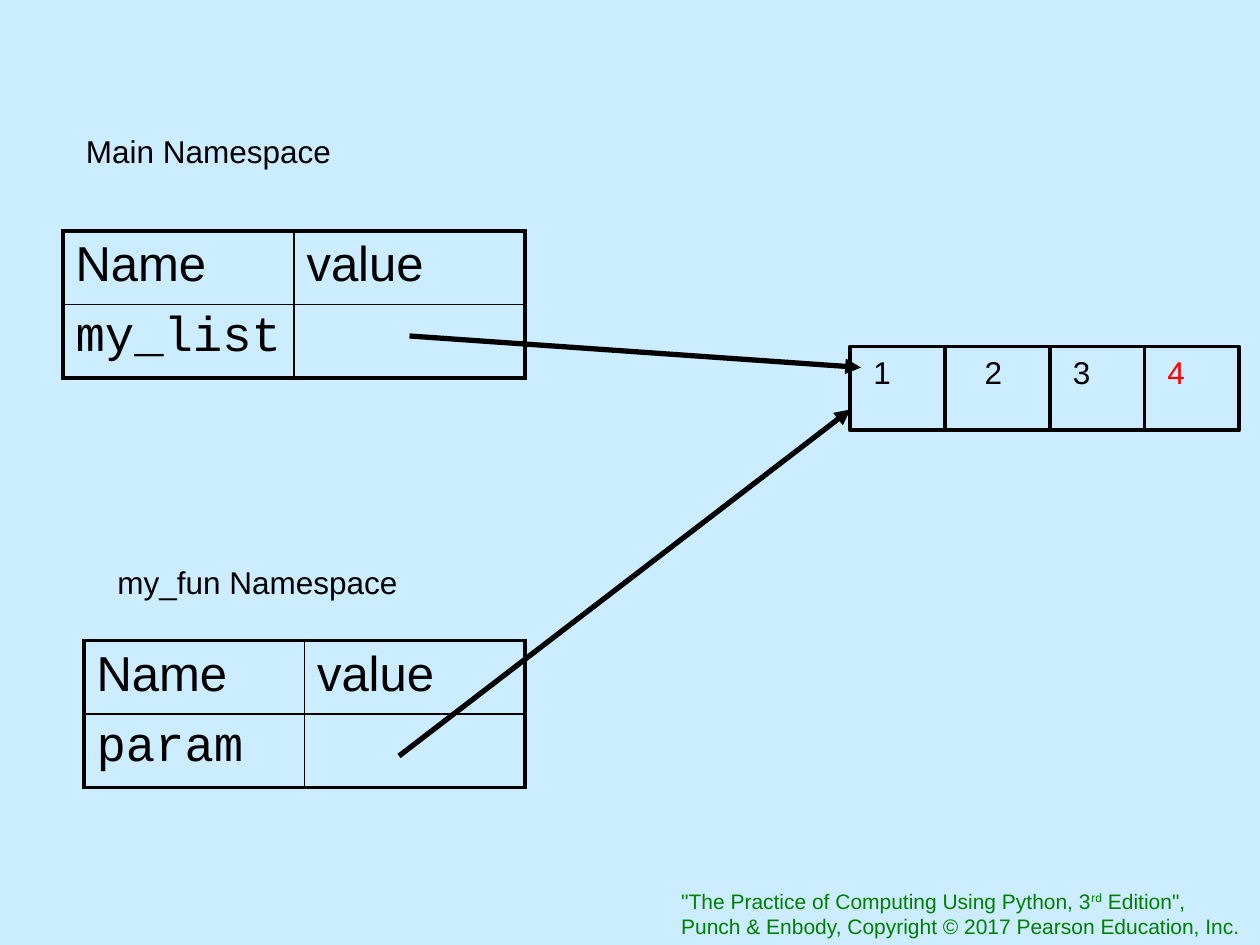
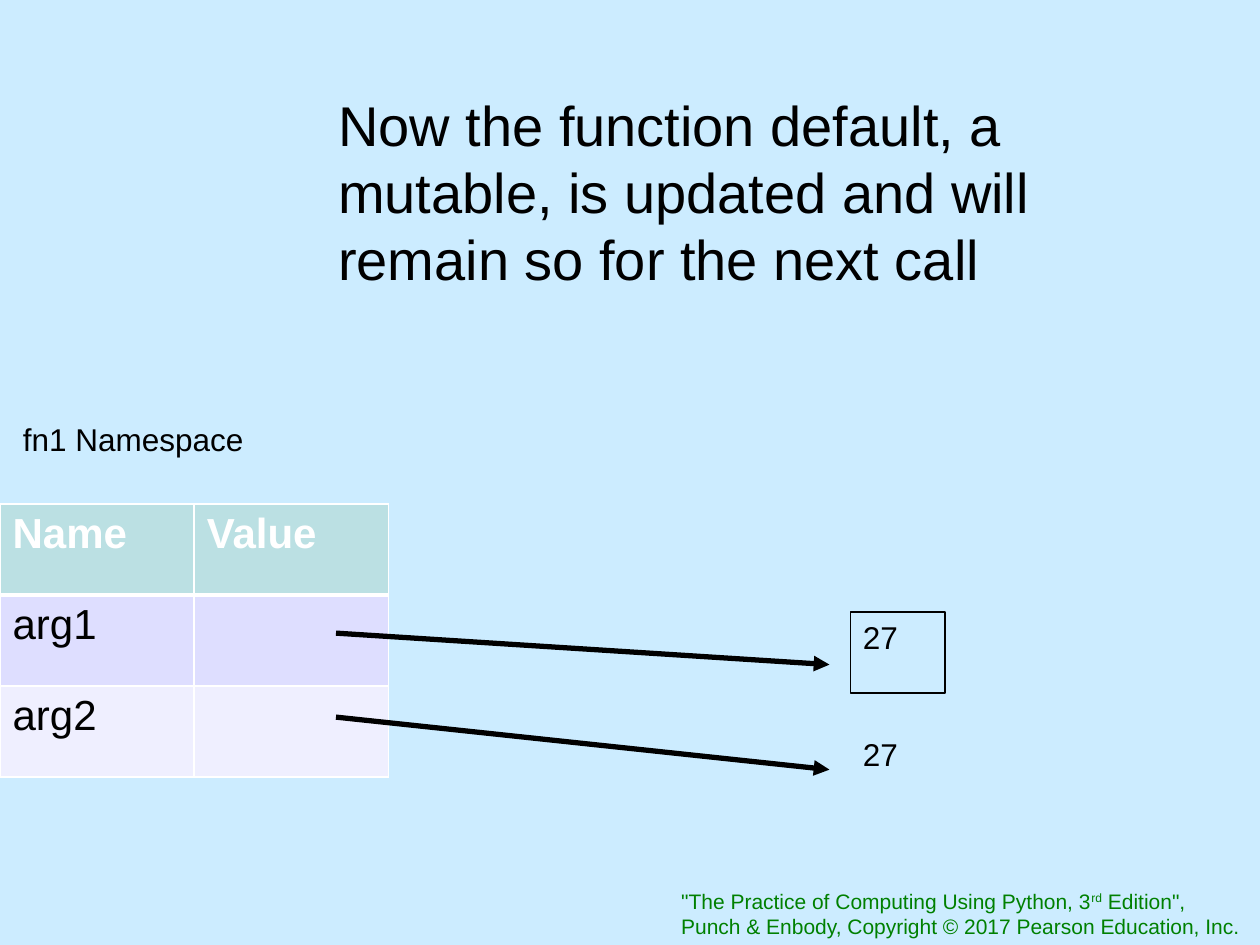
"""Build two slides that show names bound to values in namespaces."""
from dataclasses import dataclass

import lxml.etree
import pptx
import pptx.dml.color
import pptx.enum.shapes
import pptx.enum.text
import pptx.oxml.ns
import pptx.presentation
import pptx.shapes.autoshape
import pptx.slide
import pptx.table
import pptx.text.text
import pptx.util

RGBColor = pptx.dml.color.RGBColor
BLACK = RGBColor(0x00, 0x00, 0x00)
WHITE = RGBColor(0xFF, 0xFF, 0xFF)
RED = RGBColor(0xFF, 0x00, 0x00)
GREEN = RGBColor(0x00, 0x80, 0x00)
SKY = RGBColor(0xCC, 0xEC, 0xFF)
TEAL = RGBColor(0xBB, 0xE0, 0xE3)
LILAC = RGBColor(0xDE, 0xDE, 0xFF)
PALE_LILAC = RGBColor(0xEF, 0xEF, 0xFF)

SANS = "Arial"
MONO = "Courier New"
SLIDE_WIDTH = pptx.util.Inches(10)
SLIDE_HEIGHT = pptx.util.Inches(7.5)
COLUMN = SLIDE_WIDTH / 120
ROW = SLIDE_HEIGHT / 90
TITLE_ONLY_LAYOUT = 5
BLANK_LAYOUT = 6
FOOTER = (
    '"The Practice of Computing Using Python, 3^rd^ Edition",\n'
    "Punch & Enbody, Copyright © 2017 Pearson Education, Inc."
)


@dataclass(frozen=True)
class Area:
    left: float
    top: float
    width: float
    height: float

    def lengths(self) -> tuple[int, int, int, int]:
        return (
            round(self.left * COLUMN),
            round(self.top * ROW),
            round(self.width * COLUMN),
            round(self.height * ROW),
        )


@dataclass(frozen=True)
class Label:
    text: str
    area: Area
    color: RGBColor = BLACK


@dataclass(frozen=True)
class Arrow:
    start: tuple[float, float]
    end: tuple[float, float]


@dataclass(frozen=True)
class TableLook:
    size: float
    border: RGBColor
    outer: float
    inner: float
    header_rule: float
    name_font: str = SANS
    header_color: RGBColor = BLACK
    header_bold: bool = False
    fills: tuple[RGBColor, ...] = ()


@dataclass(frozen=True)
class Namespace:
    area: Area
    header: tuple[str, str]
    names: tuple[str, ...]
    look: TableLook


PLAIN = TableLook(28, BLACK, outer=2.25, inner=1, header_rule=1, name_font=MONO)
BANDED = TableLook(
    24, WHITE, outer=1, inner=1, header_rule=3,
    header_color=WHITE, header_bold=True, fills=(TEAL, LILAC, PALE_LILAC),
)

LIST_AREA = Area(81, 33, 37, 8)
LIST_DIVIDERS = (90, 100, 109)
LIST_LABELS = tuple(
    Label(digit, Area(left, 33, 5.4, 7.6), color)
    for digit, left, color in (
        ("1", 82, BLACK), ("2", 92.6, BLACK), ("3", 101, BLACK), ("4", 110, RED),
    )
)
LIST_NAMESPACES = (
    Namespace(Area(6, 22, 44, 14), ("Name", "value"), ("my_list",), PLAIN),
    Namespace(Area(8, 61, 42, 14), ("Name", "value"), ("param",), PLAIN),
)
LIST_CAPTIONS = (
    Label("Main Namespace", Area(7, 12, 43.8, 7.6)),
    Label("my_fun Namespace", Area(10, 53, 29.4, 4.8)),
)
LIST_ARROWS = (Arrow((39, 32), (82, 35)), Arrow((38, 72), (81, 39)))

DEFAULT_TITLE = (
    "Now the function default, a mutable, is updated and will remain so for the next call"
)
DEFAULT_NAMESPACE = Namespace(
    Area(0, 48, 37, 26), ("Name", "Value"), ("arg1", "arg2"), BANDED
)
DEFAULT_LABELS = (
    Label("fn1 Namespace", Area(1, 39.4, 40.2, 7.7)),
    Label("27", Area(81, 69.4, 8.4, 7.7)),
)
DEFAULT_ARROWS = (
    Arrow((32, 60.3), (79, 63.3)),
    Arrow((32, 68.3), (79, 73.3)),
)


def write_text(
    frame: pptx.text.text.TextFrame,
    text: str,
    *,
    size: float = 18,
    color: RGBColor = BLACK,
    font: str = SANS,
    bold: bool = False,
) -> None:
    for index, line in enumerate(text.split("\n")):
        para = frame.add_paragraph() if index else frame.paragraphs[0]
        para.alignment = pptx.enum.text.PP_ALIGN.LEFT
        for part, words in enumerate(line.split("^")):
            span = para.add_run()
            span.text = words
            span.font.name = font
            span.font.size = pptx.util.Pt(size)
            span.font.bold = bold
            span.font.color.rgb = color
            if part % 2:
                span._r.get_or_add_rPr().set("baseline", "30000")


def add_label(
    page: pptx.slide.Slide, label: Label, size: float = 18
) -> pptx.shapes.autoshape.Shape:
    box = page.shapes.add_textbox(*label.area.lengths())
    box.text_frame.word_wrap = False
    box.text_frame.auto_size = pptx.enum.text.MSO_AUTO_SIZE.SHAPE_TO_FIT_TEXT
    write_text(box.text_frame, label.text, size=size, color=label.color)
    return box


def add_frame(
    page: pptx.slide.Slide, area: Area, weight: float
) -> pptx.shapes.autoshape.Shape:
    box = page.shapes.add_shape(
        pptx.enum.shapes.MSO_SHAPE.RECTANGLE, *area.lengths()
    )
    box.shadow.inherit = False
    box.fill.background()
    box.line.color.rgb = BLACK
    box.line.width = pptx.util.Pt(weight)
    return box


def add_line(
    page: pptx.slide.Slide,
    start: tuple[float, float],
    end: tuple[float, float],
    *,
    weight: float,
    arrowhead: bool = False,
) -> None:
    ends = [round(value * unit) for point in (start, end)
            for value, unit in zip(point, (COLUMN, ROW))]
    line = page.shapes.add_connector(
        pptx.enum.shapes.MSO_CONNECTOR.STRAIGHT, *ends
    )
    line.line.color.rgb = BLACK
    line.line.width = pptx.util.Pt(weight)
    properties = line.element.spPr
    if arrowhead:
        stroke = properties.find(pptx.oxml.ns.qn("a:ln"))
        tail = lxml.etree.SubElement(stroke, pptx.oxml.ns.qn("a:tailEnd"))
        tail.set("type", "triangle")
    lxml.etree.SubElement(properties, pptx.oxml.ns.qn("a:effectLst"))


def add_arrows(page: pptx.slide.Slide, arrows: tuple[Arrow, ...]) -> None:
    for arrow in arrows:
        add_line(page, arrow.start, arrow.end, weight=3, arrowhead=True)


def set_borders(
    cell: pptx.table._Cell, color: RGBColor, weights: dict[str, float]
) -> None:
    properties = cell._tc.get_or_add_tcPr()
    for side, weight in weights.items():
        edge = lxml.etree.SubElement(properties, pptx.oxml.ns.qn(f"a:ln{side}"))
        edge.set("w", str(pptx.util.Pt(weight)))
        fill = lxml.etree.SubElement(edge, pptx.oxml.ns.qn("a:solidFill"))
        shade = lxml.etree.SubElement(fill, pptx.oxml.ns.qn("a:srgbClr"))
        shade.set("val", str(color))


def add_namespace(page: pptx.slide.Slide, namespace: Namespace) -> None:
    look = namespace.look
    rows = [namespace.header, *((name, "") for name in namespace.names)]
    last = len(rows) - 1
    table = page.shapes.add_table(
        len(rows), 2, *namespace.area.lengths()
    ).table
    table.first_row = look.header_bold
    table.horz_banding = bool(look.fills)
    rules = [look.outer, look.header_rule, *[look.inner] * (last - 1), look.outer]
    sides = (look.outer, look.inner, look.outer)
    for row, texts in enumerate(rows):
        for column, text in enumerate(texts):
            cell = table.cell(row, column)
            set_borders(cell, look.border, {
                "L": sides[column], "R": sides[column + 1],
                "T": rules[row], "B": rules[row + 1],
            })
            if look.fills:
                cell.fill.solid()
                cell.fill.fore_color.rgb = look.fills[row]
            else:
                cell.fill.background()
            if text:
                write_text(
                    cell.text_frame, text, size=look.size,
                    color=BLACK if row else look.header_color,
                    font=look.name_font if row else SANS,
                    bold=look.header_bold and row == 0,
                )


def style_master(deck: pptx.presentation.Presentation, page: pptx.slide.Slide) -> None:
    master = deck.slide_master
    master.background.fill.solid()
    master.background.fill.fore_color.rgb = SKY
    footer = add_label(page, Label(FOOTER, Area(63.7, 84, 56.2, 6), GREEN), size=12)
    footer.element.nvSpPr.cNvPr.set("id", "20")
    master.element.cSld.spTree.append(footer.element)


def draw_shared_list(page: pptx.slide.Slide) -> None:
    add_frame(page, LIST_AREA, 2.25)
    bottom = LIST_AREA.top + LIST_AREA.height
    for divider in LIST_DIVIDERS:
        add_line(page, (divider, LIST_AREA.top), (divider, bottom), weight=2.25)
    for namespace in LIST_NAMESPACES:
        add_namespace(page, namespace)
    for label in LIST_LABELS + LIST_CAPTIONS:
        add_label(page, label)
    add_arrows(page, LIST_ARROWS)


def draw_updated_default(page: pptx.slide.Slide) -> None:
    title = page.shapes.title
    title.left, title.top, title.width, title.height = Area(31, 8, 84, 20.6).lengths()
    title.text_frame.word_wrap = True
    title.text_frame.auto_size = pptx.enum.text.MSO_AUTO_SIZE.NONE
    title.text_frame.vertical_anchor = pptx.enum.text.MSO_ANCHOR.TOP
    write_text(title.text_frame, DEFAULT_TITLE, size=32)
    add_namespace(page, DEFAULT_NAMESPACE)
    value = add_frame(page, Area(81, 58.3, 9, 7.7), 0.75)
    value.text_frame.word_wrap = True
    value.text_frame.vertical_anchor = pptx.enum.text.MSO_ANCHOR.TOP
    write_text(value.text_frame, "27")
    for label in DEFAULT_LABELS:
        add_label(page, label)
    add_arrows(page, DEFAULT_ARROWS)


def main() -> None:
    deck = pptx.Presentation()
    deck.slide_width, deck.slide_height = SLIDE_WIDTH, SLIDE_HEIGHT
    list_page = deck.slides.add_slide(deck.slide_layouts[BLANK_LAYOUT])
    default_page = deck.slides.add_slide(deck.slide_layouts[TITLE_ONLY_LAYOUT])
    style_master(deck, list_page)
    draw_shared_list(list_page)
    draw_updated_default(default_page)
    deck.save("out.pptx")


if __name__ == "__main__":
    main()
